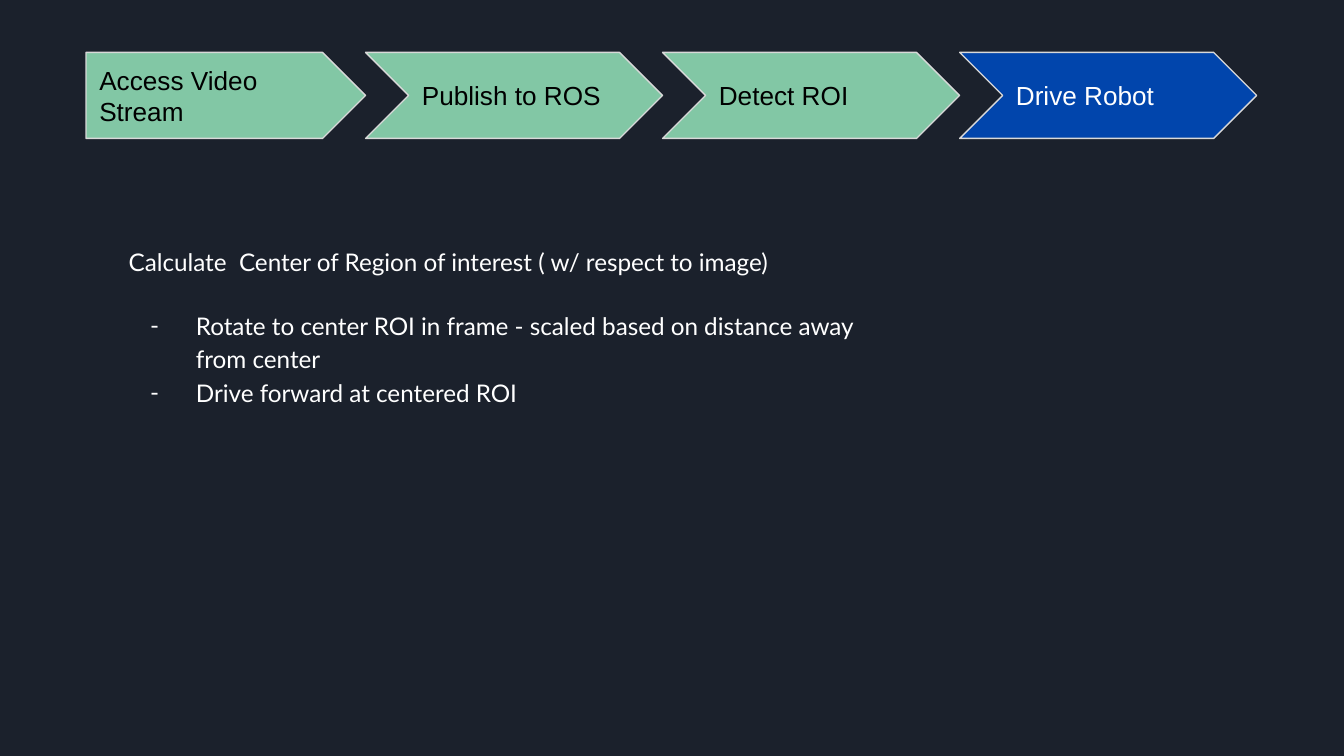
from lxml import etree
from pptx import Presentation
from pptx.dml.color import RGBColor
from pptx.enum.shapes import MSO_SHAPE
from pptx.enum.text import MSO_ANCHOR, PP_ALIGN
from pptx.oxml.ns import qn
from pptx.util import Inches, Pt

PENTAGON, CHEVRON = MSO_SHAPE.PENTAGON, MSO_SHAPE.CHEVRON
MIDDLE, TOP, LEFT = MSO_ANCHOR.MIDDLE, MSO_ANCHOR.TOP, PP_ALIGN.LEFT

COLORS = {
    "back": "1B212C",
    "done": "82C7A5",
    "now": "0145AC",
    "edge": "D9D9D9",
    "dark": "000000",
    "light": "FFFFFF",
}
STEPS = [
    ("Access Video Stream", PENTAGON, 2.08, "done", "dark"),
    ("Publish to ROS", CHEVRON, 2.21, "done", "dark"),
    ("Detect ROI", CHEVRON, 2.21, "done", "dark"),
    ("Drive Robot", CHEVRON, 2.21, "now", "light"),
]
TITLE = "Calculate  Center of Region of interest ( w/ respect to image)"
ITEMS = [
    "Rotate to center ROI in frame - scaled based on distance away from center",
    "Drive forward at centered ROI",
]
RIGHT = 9.35


def color(name):
    return RGBColor.from_string(COLORS[name])


def set_frame(frame, anchor):
    frame.word_wrap = True
    frame.vertical_anchor = anchor
    frame.margin_left = frame.margin_right = Inches(0.1)
    frame.margin_top = frame.margin_bottom = Inches(0.1)


def style(para, font, size, tone):
    para.alignment = LEFT
    for run in para.runs:
        run.font.name = font
        run.font.size = Pt(size)
        run.font.color.rgb = color(tone)


def add_dash(para):
    props = para._p.get_or_add_pPr()
    props.set("marL", str(Inches(0.5)))
    props.set("indent", str(Inches(-0.34)))
    tint = etree.SubElement(props, qn("a:buClr"))
    etree.SubElement(tint, qn("a:srgbClr"), val=COLORS["light"])
    etree.SubElement(props, qn("a:buFont"), typeface="Lato")
    etree.SubElement(props, qn("a:buChar"), char="-")


def add_steps(slide):
    group = slide.shapes.add_group_shape()
    for i, (text, kind, width, fill, tone) in enumerate(STEPS):
        left = RIGHT - 2.21 * (len(STEPS) - 1 - i) - width
        step = group.shapes.add_shape(
            kind, Inches(left), Inches(0.39), Inches(width), Inches(0.64)
        )
        step.shadow.inherit = False
        step.fill.solid()
        step.fill.fore_color.rgb = color(fill)
        step.line.color.rgb = color("edge")
        step.line.width = Pt(0.75)
        set_frame(step.text_frame, MIDDLE)
        step.text_frame.text = text
        style(step.text_frame.paragraphs[0], "Arial", 14, tone)


def add_body(slide):
    box = slide.shapes.add_textbox(
        Inches(0.86), Inches(1.71), Inches(5.9), Inches(3.18)
    )
    frame = box.text_frame
    set_frame(frame, TOP)
    frame.text = "\n".join([TITLE] + ITEMS)
    for para in frame.paragraphs:
        para.line_spacing = 1.15
        style(para, "Lato", 13, "light")
    items = frame.paragraphs[1:]
    items[0].space_before = Pt(16)
    for para in items:
        add_dash(para)


def main():
    deck = Presentation()
    deck.slide_width = Inches(10)
    deck.slide_height = Inches(10) * 9 // 16
    slide = deck.slides.add_slide(deck.slide_layouts[6])
    slide.background.fill.solid()
    slide.background.fill.fore_color.rgb = color("back")
    add_steps(slide)
    add_body(slide)
    deck.save("out.pptx")


if __name__ == "__main__":
    main()
